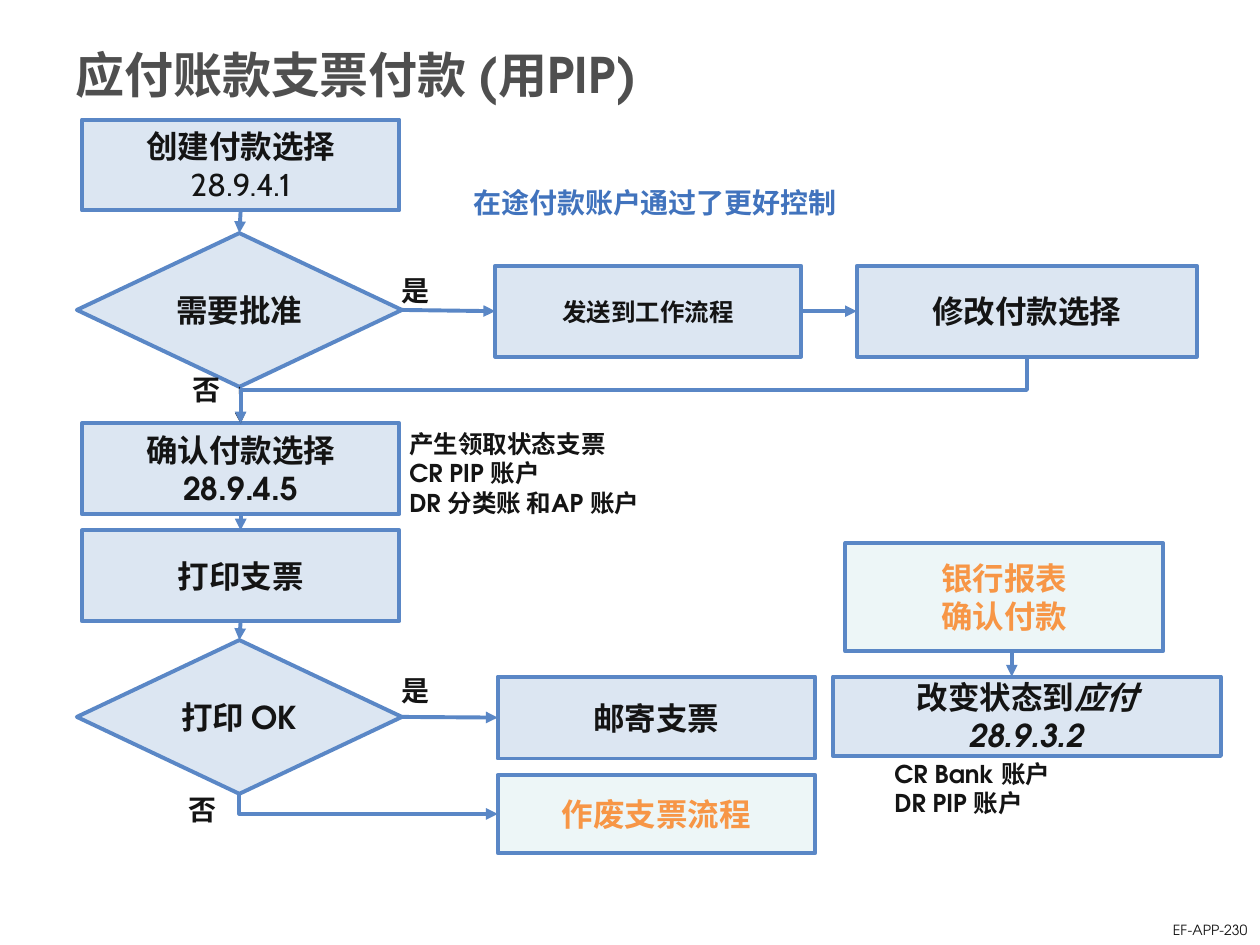
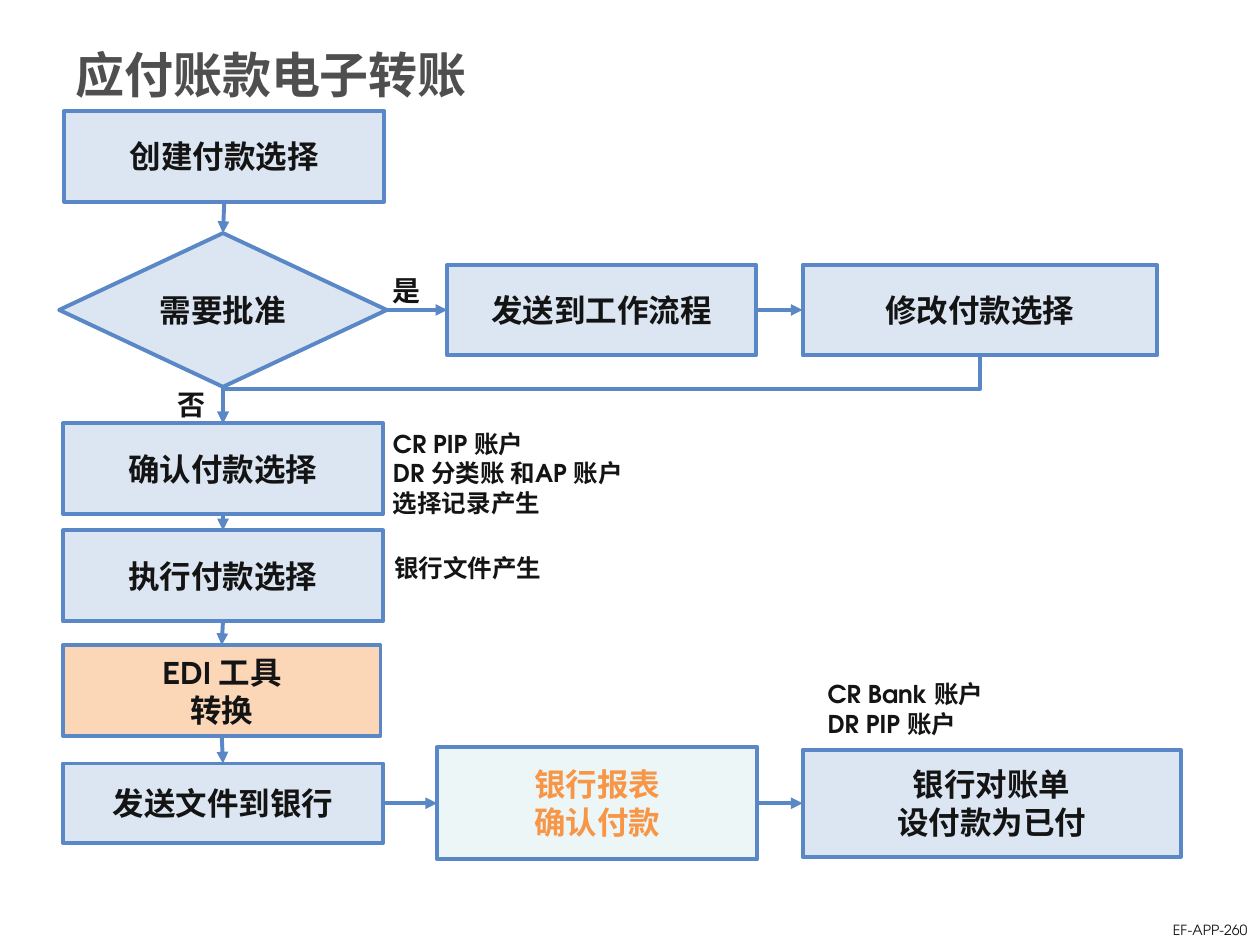
from dataclasses import dataclass, field

import lxml.etree
import pptx
import pptx.dml.color
import pptx.enum.shapes
import pptx.enum.text
import pptx.oxml.ns
import pptx.shapes.autoshape
import pptx.shapes.connector
import pptx.slide
import pptx.text.text
import pptx.util

Inches = pptx.util.Inches
RGBColor = pptx.dml.color.RGBColor
Align = pptx.enum.text.PP_ALIGN
Anchor = pptx.enum.text.MSO_ANCHOR
Preset = pptx.enum.shapes.MSO_SHAPE
ConnectorKind = pptx.enum.shapes.MSO_CONNECTOR
qn = pptx.oxml.ns.qn

TITLE_GREY = RGBColor(0x4F, 0x4F, 0x4F)
INK = RGBColor(0x14, 0x14, 0x14)
FLOW_BLUE = RGBColor(0x5A, 0x87, 0xC6)
REMARK_BLUE = RGBColor(0x41, 0x73, 0xBD)
STEP_FILL = RGBColor(0xDC, 0xE6, 0xF2)
OUTSIDE_FILL = RGBColor(0xED, 0xF6, 0xF7)
ORANGE = RGBColor(0xF7, 0x96, 0x46)

ADVENTOR = "TeX Gyre Adventor"
CABIN = "Cabin"
TOP, LEFT, BOTTOM, RIGHT = range(4)
DOWN = (BOTTOM, TOP)
ACROSS = (RIGHT, LEFT)
CORNER = (BOTTOM, LEFT)


@dataclass
class Span:
    text: str
    font: str | None = None
    bold: bool = True
    italic: bool = False


Line = str | Span | tuple[Span, ...]


@dataclass
class Block:
    lines: list[Line]
    left: float
    top: float
    width: float = 2.52
    height: float = 0.72
    preset: Preset = Preset.FLOWCHART_PROCESS
    fill: RGBColor | None = STEP_FILL
    opacity: int = 100
    color: RGBColor = INK
    size: int = 18
    font: str = ADVENTOR


@dataclass
class Answer:
    text: str
    left: float
    top: float


@dataclass
class Link:
    start: str
    end: str
    sides: tuple[int, int] = DOWN
    color: RGBColor = FLOW_BLUE
    weight: float = 2.25


@dataclass
class FreeArrow:
    x: float
    top: float
    bottom: float


@dataclass
class Process:
    title: str
    code: str
    blocks: dict[str, Block]
    answers: list[Answer]
    links: list[Link]
    elbows: list[Link]
    free_arrows: list[FreeArrow] = field(default_factory=list)


def decision(text: str, left: float, top: float, width: float, font: str = ADVENTOR) -> Block:
    return Block([text], left, top, width, 1.22, Preset.FLOWCHART_DECISION, font=font)


def remark(lines: list[Line], left: float, top: float, width: float,
           size: int = 14, color: RGBColor = INK) -> Block:
    return Block(lines, left, top, width, 0.79, fill=None, size=size, color=color)


def write(frame: pptx.text.text.TextFrame, lines: list[Line], *, size: int,
          color: RGBColor = INK, font: str = ADVENTOR, bold: bool = True,
          align: Align = Align.LEFT, anchor: Anchor = Anchor.MIDDLE,
          wrap: bool = True) -> None:
    frame.word_wrap = wrap
    frame.vertical_anchor = anchor
    for number, line in enumerate(lines):
        paragraph = frame.add_paragraph() if number else frame.paragraphs[0]
        paragraph.alignment = align
        for item in line if isinstance(line, tuple) else (line,):
            span = item if isinstance(item, Span) else Span(item, bold=bold)
            for row, text in enumerate(span.text.split("\n")):
                if row:
                    paragraph.add_line_break()
                run = paragraph.add_run()
                run.text = text
                run.font.name = span.font or font
                run.font.size = pptx.util.Pt(size)
                run.font.bold = span.bold
                run.font.italic = span.italic
                run.font.color.rgb = color


def add_label(slide: pptx.slide.Slide, text: str, left: float, top: float,
              width: float, height: float, **style) -> None:
    label = slide.shapes.add_textbox(Inches(left), Inches(top), Inches(width), Inches(height))
    write(label.text_frame, [text], **style)


def add_block(slide: pptx.slide.Slide, block: Block) -> pptx.shapes.autoshape.Shape:
    shape = slide.shapes.add_shape(block.preset, Inches(block.left), Inches(block.top),
                                   Inches(block.width), Inches(block.height))
    shape.shadow.inherit = False
    is_step = block.fill is not None
    if is_step:
        shape.fill.solid()
        shape.fill.fore_color.rgb = block.fill
        shape.line.color.rgb = FLOW_BLUE
        shape.line.width = pptx.util.Pt(2.25)
    else:
        shape.fill.background()
        shape.line.fill.background()
    if block.opacity < 100:
        tint = shape.element.spPr.find(qn("a:solidFill"))[0]
        lxml.etree.SubElement(tint, qn("a:alpha"), val=str(block.opacity * 1000))
    write(shape.text_frame, block.lines, size=block.size, color=block.color, font=block.font,
          align=Align.CENTER if is_step else Align.LEFT, wrap=not is_step)
    return shape


def style_arrow(arrow: pptx.shapes.connector.Connector,
                color: RGBColor = FLOW_BLUE, weight: float = 2.25) -> None:
    arrow.line.color.rgb = color
    arrow.line.width = pptx.util.Pt(weight)
    properties = arrow.element.spPr
    lxml.etree.SubElement(properties.find(qn("a:ln")), qn("a:tailEnd"), type="triangle")
    lxml.etree.SubElement(properties, qn("a:effectLst"))


def add_link(slide: pptx.slide.Slide, link: Link,
             shapes: dict[str, pptx.shapes.autoshape.Shape]) -> None:
    arrow = slide.shapes.add_connector(ConnectorKind.STRAIGHT, 0, 0, 0, 0)
    arrow.begin_connect(shapes[link.start], link.sides[0])
    arrow.end_connect(shapes[link.end], link.sides[1])
    style_arrow(arrow, link.color, link.weight)


def add_elbow(slide: pptx.slide.Slide, link: Link,
              shapes: dict[str, pptx.shapes.autoshape.Shape]) -> None:
    start, end = shapes[link.start], shapes[link.end]
    is_corner = link.sides == CORNER
    x1, y1 = start.left + start.width // 2, start.top + start.height
    x2 = end.left if is_corner else end.left + end.width // 2
    y2 = end.top + end.height // 2 if is_corner else end.top
    run, drop = abs(x2 - x1), y2 - y1
    left, top = (x1 + x2 - drop) // 2, (y1 + y2 - run) // 2
    near, far = (left + drop, left) if is_corner else (left, left + drop)
    arrow = slide.shapes.add_connector(ConnectorKind.ELBOW, near, top, far, top + run)
    properties = arrow.element.spPr
    properties.find(qn("a:xfrm")).set("rot", str((270 if is_corner else 90) * 60000))
    if is_corner:
        properties.find(qn("a:prstGeom")).set("prst", "bentConnector2")
    style_arrow(arrow, link.color, link.weight)


def add_process(deck: pptx.presentation.Presentation, process: Process) -> None:
    slide = deck.slides.add_slide(deck.slide_layouts[6])
    add_label(slide, process.title, 0.5, 0.2, 9, 0.78, size=28, color=TITLE_GREY)
    add_label(slide, process.code, 9, 7.26, 1, 0.24, size=8, bold=False,
              align=Align.RIGHT, anchor=Anchor.BOTTOM)
    shapes = {name: add_block(slide, block) for name, block in process.blocks.items()}
    for answer in process.answers:
        add_label(slide, answer.text, answer.left, answer.top, 0.74, 0.37, size=16,
                  align=Align.CENTER, anchor=Anchor.TOP)
    for link in process.links:
        add_link(slide, link, shapes)
    for link in process.elbows:
        add_elbow(slide, link, shapes)
    for free in process.free_arrows:
        style_arrow(slide.shapes.add_connector(
            ConnectorKind.STRAIGHT, Inches(free.x), Inches(free.top),
            Inches(free.x), Inches(free.bottom)))


CHECK_PAYMENT = Process(
    "应付账款支票付款 (用PIP)", "EF-APP-230",
    {
        "create": Block(["创建付款选择", Span("28.9.4.1", CABIN, bold=False)], 0.65, 0.95),
        "approval": decision("需要批准", 0.61, 1.85, 2.58),
        "confirm remark": remark(["产生领取状态支票", "CR PIP 账户", "DR 分类账 和AP 账户"],
                                 3.15, 3.36, 3.63),
        "workflow": Block(["发送到工作流程"], 3.93, 2.11, 2.43, size=14),
        "modify": Block(["修改付款选择"], 6.8, 2.11, 2.7),
        "confirm": Block([(Span("确认"), Span("付款选择", CABIN)), "28.9.4.5"], 0.65, 3.36),
        "print": Block(["打印支票"], 0.65, 4.21),
        "void": Block(["作废支票流程"], 3.95, 6.15, height=0.62,
                      fill=OUTSIDE_FILL, color=ORANGE),
        "print ok": decision("打印 OK", 0.61, 5.08, 2.58),
        "mail": Block(["邮寄支票"], 3.95, 5.37, height=0.65),
        "control remark": remark(["在途付款账户通过了更好控制"], 3.66, 1.21, 4.79,
                                 16, REMARK_BLUE),
        "status": Block([(Span("改变状态到"), Span("应付", italic=True)),
                         Span("28.9.3.2", italic=True)], 6.61, 5.37, 3.08, 0.63),
        "bank report": Block(["银行报表\n确认付款"], 6.71, 4.31, height=0.86,
                             fill=OUTSIDE_FILL, color=ORANGE),
        "status remark": remark(["CR Bank 账户", "DR PIP 账户"], 7, 5.86, 2.2),
    },
    [Answer("是", 2.93, 2.12), Answer("否", 1.27, 2.91),
     Answer("是", 2.93, 5.3), Answer("否", 1.24, 6.24)],
    [Link("create", "approval"),
     Link("approval", "confirm", color=INK, weight=0.75),
     Link("approval", "workflow", ACROSS),
     Link("workflow", "modify", ACROSS),
     Link("confirm", "print"),
     Link("print", "print ok"),
     Link("print ok", "mail", ACROSS)],
    [Link("modify", "confirm"), Link("print ok", "void", CORNER)],
    [FreeArrow(8.03, 5.18, 5.37)],
)

ELECTRONIC_TRANSFER = Process(
    "应付账款电子转账", "EF-APP-260",
    {
        "create": Block(["创建付款选择"], 0.51, 0.88, 2.54, font=CABIN),
        "approval": decision("需要批准", 0.47, 1.85, 2.6, CABIN),
        "confirm remark": remark(["CR PIP 账户", "DR 分类账 和AP 账户", "选择记录产生"],
                                 3.02, 3.36, 3.06),
        "workflow": Block(["发送到工作流程"], 3.55, 2.1, 2.45, font=CABIN),
        "modify": Block(["修改付款选择"], 6.37, 2.1, 2.81, font=CABIN),
        "confirm": Block(["确认付款选择"], 0.5, 3.36, 2.54, font=CABIN),
        "execute": Block(["执行付款选择"], 0.5, 4.21, 2.54),
        "send": Block(["发送文件到银行"], 0.5, 6.06, 2.54, 0.63),
        "bank report": Block(["银行报表\n确认付款"], 3.47, 5.93, 2.54, 0.89,
                             fill=OUTSIDE_FILL, color=ORANGE, font=CABIN),
        "statement remark": remark(["CR Bank 账户", "DR PIP 账户"], 6.47, 5.23, 3.06),
        "execute remark": remark(["银行文件产生"], 3.03, 4.11, 3.06),
        "statement": Block(["银行对账单\n设付款为已付"], 6.37, 5.95, 3, 0.85),
        "convert": Block(["EDI 工具\n转换"], 0.5, 5.12, preset=Preset.RECTANGLE,
                         fill=ORANGE, opacity=38, font=CABIN),
    },
    [Answer("是", 2.86, 2.12), Answer("否", 1.15, 3.03)],
    [Link("create", "approval"),
     Link("approval", "confirm"),
     Link("approval", "workflow", ACROSS),
     Link("workflow", "modify", ACROSS),
     Link("confirm", "execute"),
     Link("execute", "convert"),
     Link("convert", "send"),
     Link("send", "bank report", ACROSS),
     Link("bank report", "statement", ACROSS)],
    [Link("modify", "confirm")],
)


def main() -> None:
    deck = pptx.Presentation()
    deck.slide_width, deck.slide_height = Inches(10), Inches(7.5)
    for process in (CHECK_PAYMENT, ELECTRONIC_TRANSFER):
        add_process(deck, process)
    deck.save("out.pptx")


if __name__ == "__main__":
    main()
